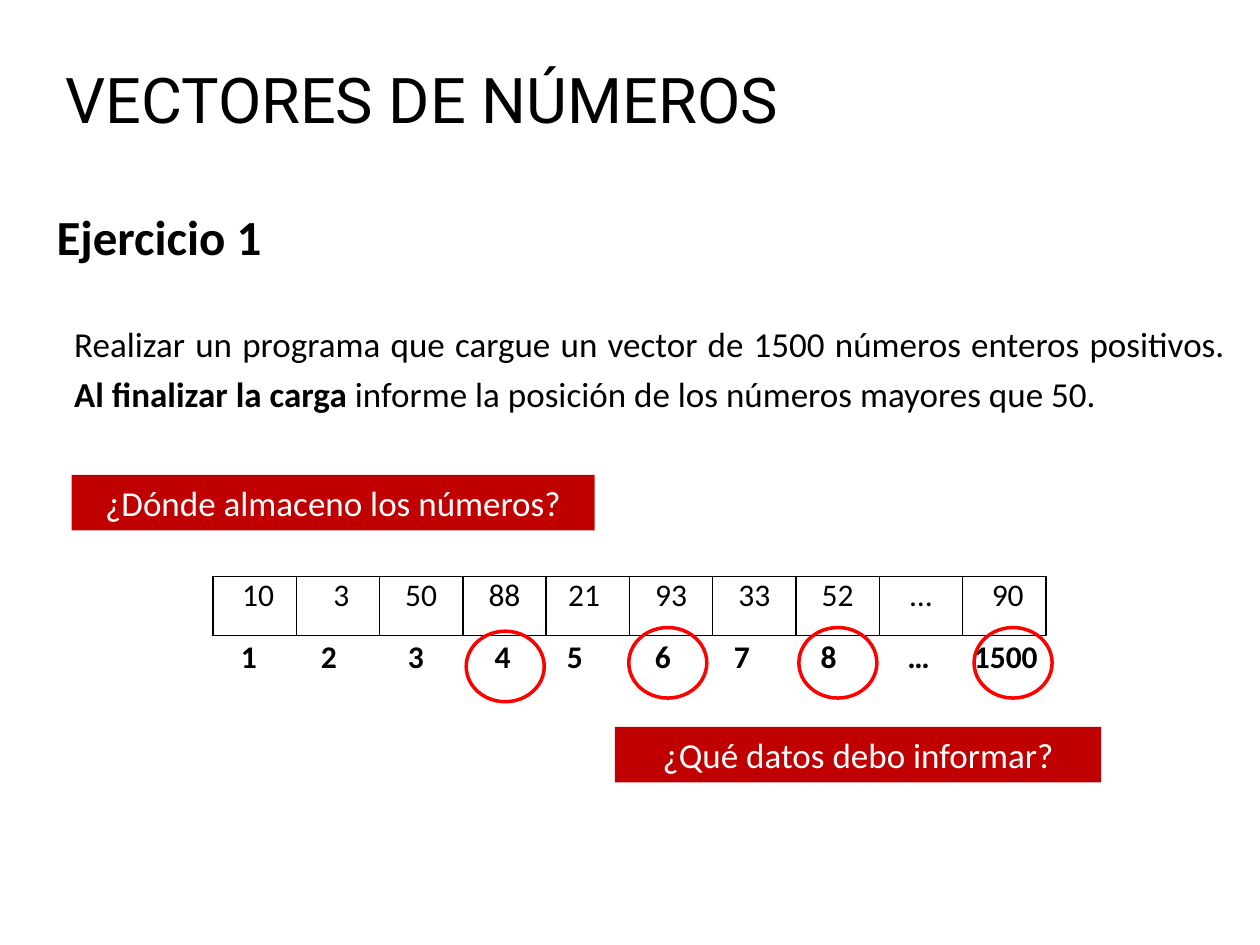
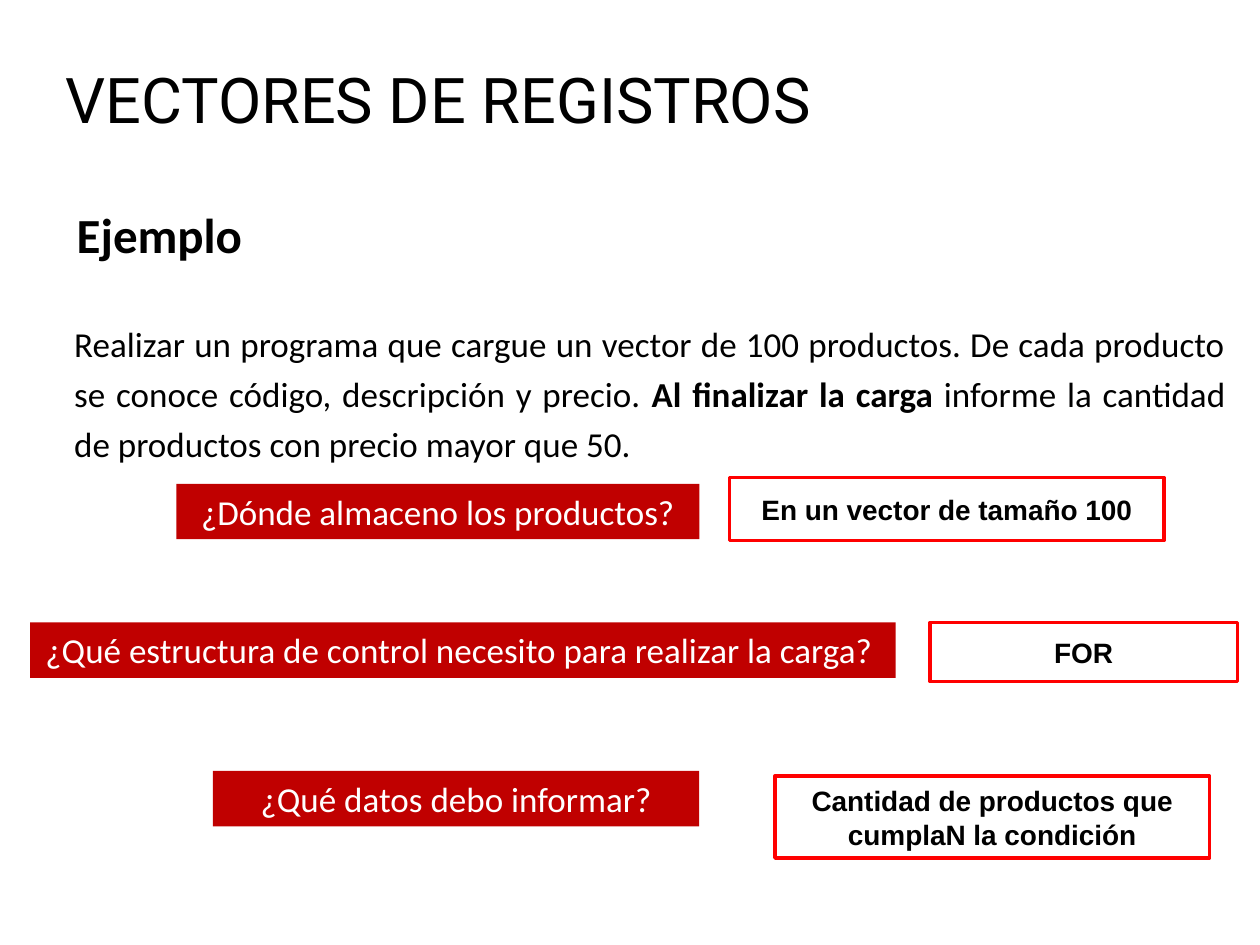
from lxml import etree
from pptx import Presentation
from pptx.dml.color import RGBColor
from pptx.enum import shapes, text
from pptx.oxml import ns
from pptx.util import Pt

BLACK, WHITE, CRIMSON, RED = "000000", "FFFFFF", "C00000", "FF0000"
BODY, HEAD, NOTE = "Calibri", "Roboto", "Arial"
LEFT, MID, FULL = text.PP_ALIGN.LEFT, text.PP_ALIGN.CENTER, text.PP_ALIGN.JUSTIFY
TOP, CORE, BASE = text.MSO_ANCHOR.TOP, text.MSO_ANCHOR.MIDDLE, text.MSO_ANCHOR.BOTTOM
RECT, OVAL = shapes.MSO_SHAPE.RECTANGLE, shapes.MSO_SHAPE.OVAL


def tint(code):
    return RGBColor.from_string(code)


def node(parent, tag, **attrs):
    return etree.SubElement(parent, ns.qn(tag), attrs)


class Deck:
    def __init__(self):
        self.show = Presentation()
        self.show.slide_width, self.show.slide_height = Pt(720), Pt(540)

    def page(self, title):
        self.slide = self.show.slides.add_slide(self.show.slide_layouts[6])
        self.label((32.4, 36.7, 566.6, 41), [title], 36, font=HEAD,
                   space=0.9, pads=(5, 2.9, 5, 2.9))

    def words(self, frame, parts, size, font=BODY, color=BLACK, bold=False,
              align=LEFT, space=None):
        para = frame.paragraphs[0]
        para.alignment = align
        if space:
            para.line_spacing = space
        para.font.size, para.font.name = Pt(size), font
        para.font.bold = bold
        para.font.color.rgb = tint(color)
        for order, part in enumerate(parts):
            run = para.add_run()
            run.text = part
            if len(parts) > 1:
                run.font.bold = order % 2 == 1
        return para

    def label(self, box, parts, size, anchor=TOP, pads=(7.2, 3.6, 7.2, 3.6), **style):
        frame = self.slide.shapes.add_textbox(*map(Pt, box)).text_frame
        frame.word_wrap = True
        frame.vertical_anchor = anchor
        (frame.margin_left, frame.margin_top,
         frame.margin_right, frame.margin_bottom) = map(Pt, pads)
        return self.words(frame, parts, size, **style)

    def topic(self, left, top, name):
        self.label((left, top, 672, 51.8), [name], 28, BASE,
                   (7.2, 3.6, 7.2, 7.2), bold=True)

    def task(self, height, *parts):
        self.label((35.3, 175.7, 672, height), parts, 20, align=FULL, space=1.2)

    def form(self, kind, box, fill=None, line=None):
        item = self.slide.shapes.add_shape(kind, *map(Pt, box))
        item.shadow.inherit = False
        if fill:
            item.fill.solid()
            item.fill.fore_color.rgb = tint(fill)
        else:
            item.fill.background()
        if line:
            item.line.color.rgb = tint(line)
            item.line.width = Pt(2)
        else:
            item.line.fill.background()
        item.text_frame.word_wrap = True
        return item

    def ask(self, left, top, width, query):
        item = self.form(RECT, (left, top, width, 31.7), fill=CRIMSON)
        item.text_frame.vertical_anchor = TOP
        self.words(item.text_frame, [query], 20, color=WHITE, align=MID)

    def reply(self, left, top, width, height, answer):
        item = self.form(RECT, (left, top, width, height), line=RED)
        item.text_frame.vertical_anchor = CORE
        self.words(item.text_frame, [answer], 16, font=NOTE, bold=True, align=MID)

    def ring(self, left, top):
        self.form(OVAL, (left, top, 44.6, 40.3), line=RED)

    def grid(self, left, top, width, height, values):
        frame = self.slide.shapes.add_table(1, len(values), *map(Pt, (left, top, width, height)))
        table = frame.table
        table.first_row = table.horz_banding = False
        for col, value in enumerate(values):
            table.columns[col].width = Pt(width / len(values))
            cell = table.cell(0, col)
            cell.margin_left = cell.margin_right = Pt(5)
            cell.margin_top = cell.margin_bottom = 0
            self.words(cell.text_frame, [value], 18, align=MID)
            props = cell._tc.get_or_add_tcPr()
            for side in "LRTB":
                edge = node(props, f"a:ln{side}", w=str(Pt(1)))
                node(node(edge, "a:solidFill"), "a:srgbClr", val=BLACK)
            cell.fill.background()

    def marks(self, box, stops):
        para = self.label(box, ["".join("\t" + name for name in stops)], 18, bold=True)
        tabs = etree.Element(ns.qn("a:tabLst"))
        for place in stops.values():
            node(tabs, "a:tab", pos=str(Pt(place)), algn="ctr")
        para.font._element.addprevious(tabs)


def numbers(deck):
    deck.page("VECTORES DE NÚMEROS")
    deck.task(65.5, "Realizar un programa que cargue un vector de 1500 números enteros positivos. ",
              "Al finalizar la carga", " informe la posición de los números mayores que 50.")
    deck.topic(25.2, 107.3, "Ejercicio 1")
    deck.grid(121.7, 329.5, 476, 33.8,
              [" 10", " 3", "50", "88", "21 ", "93", "33", "52", "…", " 90"])
    deck.marks((122.4, 360.7, 532.8, 28.8),
               {"1": 12.7, "2": 58.4, "3": 108.1, "4": 157.8, "5": 199,
                "6": 249.3, "7": 294.4, "8": 344.1, "…": 395.5, "1500": 445.3})
    deck.ask(41, 271.4, 298.8, "¿Dónde almaceno los números?")
    deck.ask(351.4, 415.4, 277.9, "¿Qué datos debo informar?")
    for left, top in ((266.4, 360.7), (359.3, 358.6), (456.5, 358.6), (556.6, 358.6)):
        deck.ring(left, top)


def records(deck):
    deck.page("VECTORES DE REGISTROS")
    deck.task(95, "Realizar un programa que cargue un vector de 100 productos. "
              "De cada producto se conoce código, descripción y precio. ",
              "Al finalizar la carga ",
              "informe la cantidad de productos con precio mayor que 50.")
    deck.topic(36.7, 105.8, "Ejemplo")
    deck.ask(100.8, 276.5, 298.8, "¿Dónde almaceno los productos?")
    deck.ask(121.7, 440.6, 277.9, "¿Qué datos debo informar?")
    deck.ask(17.3, 355.7, 494.6, "¿Qué estructura de control necesito para realizar la carga? ")
    deck.reply(416.9, 272.9, 248.4, 36, "En un vector de tamaño 100")
    deck.reply(531.4, 355.7, 175.7, 33.8, "FOR")
    deck.reply(442.8, 443.5, 248.4, 46.8, "Cantidad de productos que cumplaN la condición")


def main():
    deck = Deck()
    numbers(deck)
    records(deck)
    deck.show.save("out.pptx")


if __name__ == "__main__":
    main()
